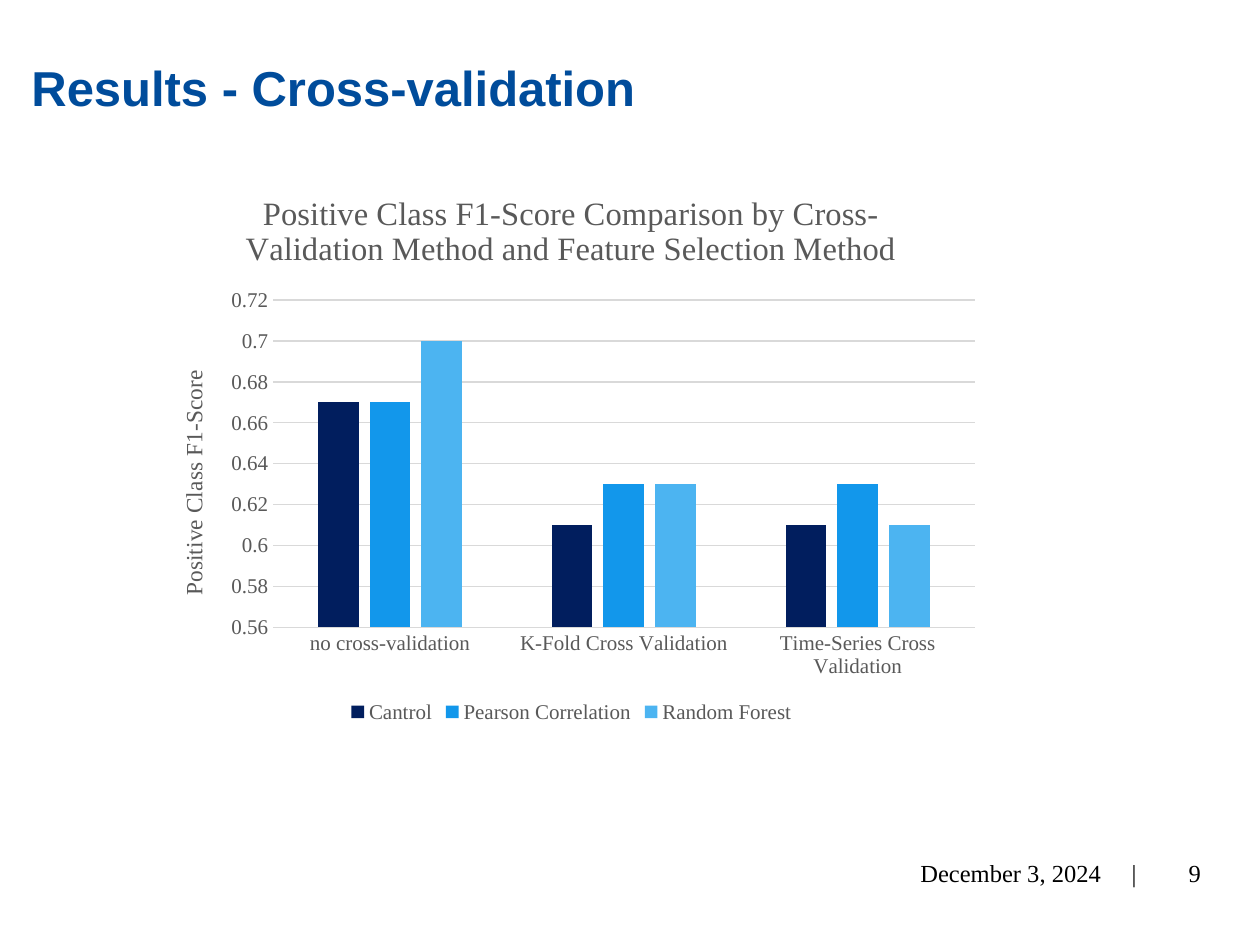
from lxml.etree import SubElement
from pptx import Presentation
from pptx.chart.data import CategoryChartData
from pptx.dml.color import RGBColor
from pptx.enum.chart import XL_CHART_TYPE, XL_LEGEND_POSITION, XL_TICK_MARK
from pptx.enum.text import MSO_ANCHOR, PP_ALIGN
from pptx.oxml import parse_xml
from pptx.oxml.ns import nsdecls, qn
from pptx.util import Cm, Pt

BLUE = RGBColor(0x00, 0x4C, 0x9B)
BLACK = RGBColor(0x00, 0x00, 0x00)
GREY = RGBColor(0x59, 0x59, 0x59)
LIGHT_GREY = RGBColor(0xD9, 0xD9, 0xD9)
SERIF = "Times New Roman"

TITLE = "Results - Cross-validation"
CHART_TITLE = ("Positive Class F1-Score Comparison by Cross-Validation Method "
               "and Feature Selection Method")
VALUE_TITLE = "Positive Class F1-Score"
CATEGORIES = ["no cross-validation", "K-Fold Cross Validation",
              "Time-Series Cross Validation"]
SERIES = [
    ("Cantrol", (0.67, 0.61, 0.61), RGBColor(0x01, 0x1E, 0x5E)),
    ("Pearson Correlation", (0.67, 0.63, 0.63), RGBColor(0x12, 0x97, 0xEB)),
    ("Random Forest", (0.70, 0.63, 0.61), RGBColor(0x4C, 0xB4, 0xF1)),
]
VALUE_SCALE = {"minimum_scale": 0.56, "maximum_scale": 0.72, "major_unit": 0.02}
PLOT_AREA = {"x": 0.145, "y": 0.235, "w": 0.835, "h": 0.585}

# left, top, width, height in centimetres
TITLE_PLACE = (0.38, 1.12, 23.47, 2.97)
CHART_PLACE = (3.05, 3.4, 16.94, 11.28)
# text, place, alignment, right-hand tab stops in centimetres
FOOTERS = [
    ("\tDecember 3, 2024\t|", (16.79, 17.09, 6.4, 1.02), PP_ALIGN.LEFT, (5.16, 5.87)),
    ("9", (22.63, 17.09, 1.83, 1.02), PP_ALIGN.RIGHT, ()),
]


def lengths(place):
    return [Cm(value) for value in place]


def style_font(font, size, color, name=SERIF, bold=False):
    for attribute, value in {"size": Pt(size), "name": name, "bold": bold}.items():
        setattr(font, attribute, value)
    font.color.rgb = color


def add_title(page):
    box = page.shapes.title
    box.left, box.top, box.width, box.height = lengths(TITLE_PLACE)
    frame = box.text_frame
    frame.text = TITLE
    frame.vertical_anchor = MSO_ANCHOR.TOP
    para = frame.paragraphs[0]
    para.alignment = PP_ALIGN.LEFT
    para.line_spacing = 0.95
    style_font(para.runs[0].font, 28, BLUE, "Arial", True)


def add_footer(page, text, place, alignment, stops):
    frame = page.shapes.add_textbox(*lengths(place)).text_frame
    frame.word_wrap = True
    frame.vertical_anchor = MSO_ANCHOR.MIDDLE
    para = frame.paragraphs[0]
    para.alignment = alignment
    if stops:
        tabs = SubElement(para._p.get_or_add_pPr(), qn("a:tabLst"))
        for stop in stops:
            SubElement(tabs, qn("a:tab"), pos=str(Cm(stop)), algn="r")
    span = para.add_run()
    span.text = text
    style_font(span.font, 14, BLACK)


def set_heading(owner, text, size):
    """Give a chart or an axis its title."""
    owner.has_title = True
    frame = owner.chart_title.text_frame if hasattr(owner, "chart_title") \
        else owner.axis_title.text_frame
    frame.text = text
    style_font(frame.paragraphs[0].runs[0].font, size, GREY)


def place_plot(chart):
    """Fix the inner plot area as fractions of the chart."""
    area = chart._chartSpace.chart.plotArea
    for old in area.findall(qn("c:layout")):
        area.remove(old)
    modes = '<c:xMode val="edge"/><c:yMode val="edge"/>'
    sizes = "".join(f'<c:{key} val="{value}"/>' for key, value in PLOT_AREA.items())
    area.insert(0, parse_xml(
        f'<c:layout {nsdecls("c")}><c:manualLayout><c:layoutTarget val="inner"/>'
        f'{modes}{sizes}</c:manualLayout></c:layout>'))


def add_score_chart(page):
    data = CategoryChartData(number_format="General")
    data.categories = CATEGORIES
    for name, values, _ in SERIES:
        data.add_series(name, values)
    chart = page.shapes.add_chart(
        XL_CHART_TYPE.COLUMN_CLUSTERED, *lengths(CHART_PLACE), data).chart
    style_font(chart.font, 10, BLACK)
    set_heading(chart, CHART_TITLE, 18.6)
    place_plot(chart)

    plot = chart.plots[0]
    for attribute, value in {"gap_width": 219, "overlap": -27,
                             "vary_by_categories": False}.items():
        setattr(plot, attribute, value)
    for series, (_, _, color) in zip(plot.series, SERIES):
        series.format.fill.solid()
        series.format.fill.fore_color.rgb = color

    category_axis, value_axis = chart.category_axis, chart.value_axis
    for axis in (category_axis, value_axis):
        axis.major_tick_mark = axis.minor_tick_mark = XL_TICK_MARK.NONE
        style_font(axis.tick_labels.font, 12, GREY)
    for attribute, value in VALUE_SCALE.items():
        setattr(value_axis, attribute, value)
    set_heading(value_axis, VALUE_TITLE, 13.3)
    value_axis.format.line.fill.background()
    for line in (category_axis.format.line, value_axis.major_gridlines.format.line):
        line.color.rgb = LIGHT_GREY
        line.width = Pt(0.75)

    chart.has_legend = True
    chart.legend.position = XL_LEGEND_POSITION.BOTTOM
    chart.legend.include_in_layout = False
    style_font(chart.legend.font, 12, GREY)


def main():
    deck = Presentation()
    deck.slide_width, deck.slide_height = Cm(25.4), Cm(19.05)
    page = deck.slides.add_slide(deck.slide_layouts[5])
    for footer in FOOTERS:
        add_footer(page, *footer)
    add_title(page)
    add_score_chart(page)
    deck.save("out.pptx")


if __name__ == "__main__":
    main()
